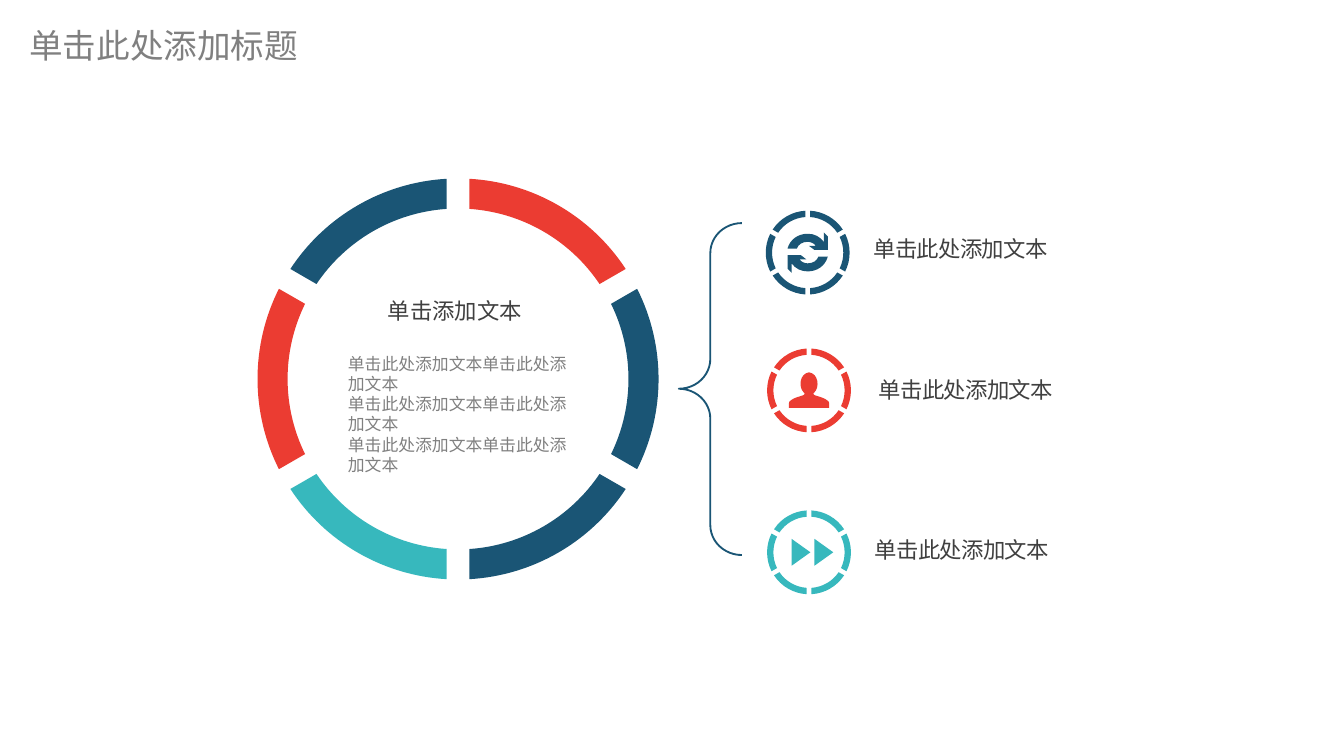
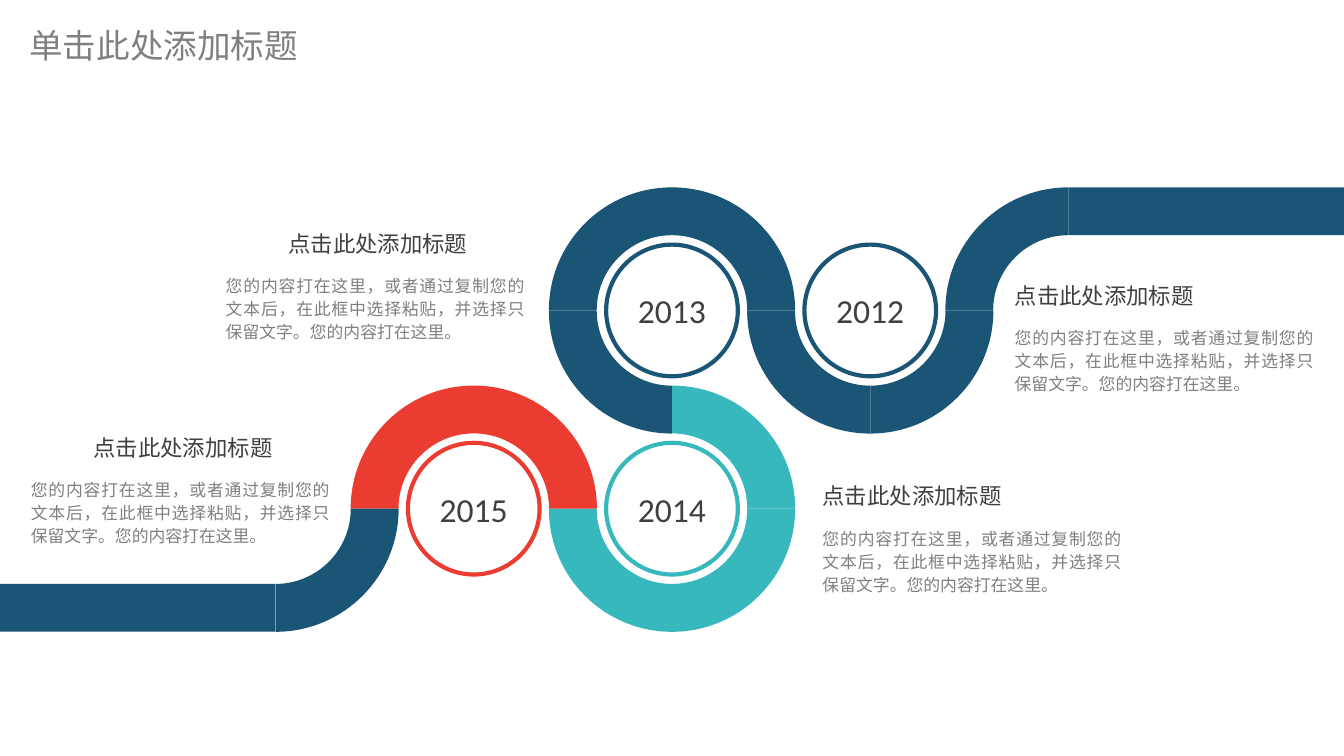
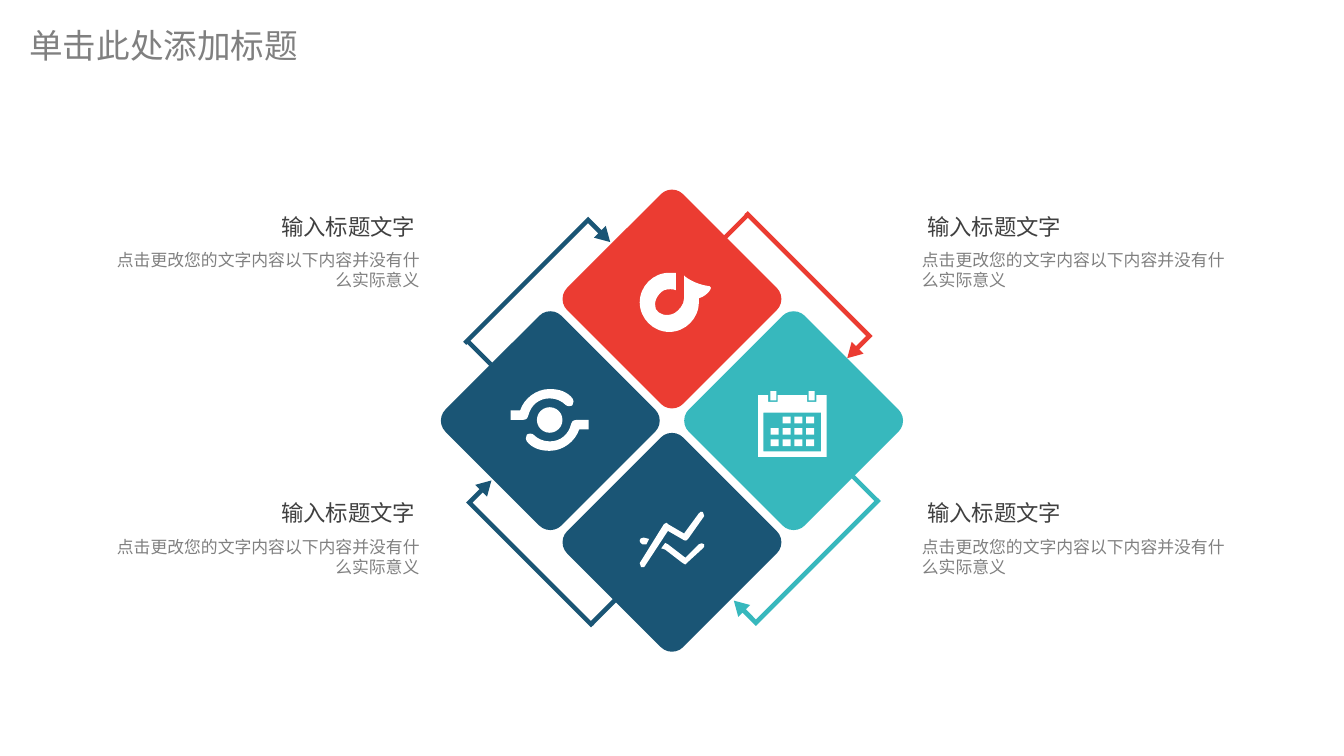
from math import asin, cos, degrees, radians, sin, tan

from pptx import Presentation
from pptx.dml.color import RGBColor
from pptx.enum.shapes import MSO_SHAPE
from pptx.enum.text import MSO_ANCHOR, MSO_AUTO_SIZE, PP_ALIGN
from pptx.oxml.ns import qn
from pptx.util import Inches, Pt
from lxml.etree import SubElement

NAVY = RGBColor(0x1A, 0x55, 0x75)
RED = RGBColor(0xEB, 0x3C, 0x32)
TEAL = RGBColor(0x37, 0xB8, 0xBD)
WHITE = RGBColor(0xFF, 0xFF, 0xFF)
DARK = RGBColor(0x40, 0x40, 0x40)
GRAY = RGBColor(0x80, 0x80, 0x80)
LATIN = "Calibri"
CJK = "Noto Sans CJK SC"

COLUMNS, ROWS = 100, 56.25
WIDTH = Inches(10)
CELL = WIDTH / COLUMNS
ICON_CELL = 0.1
NO_INSET = (0, 0, 0, 0)
SLIM_INSET = (0.7, 0.4, 0.7, 0.4)

PERSON = [[
    (15, 13), (-15, 13), (-15, 10), (-15, 9, -15, 8, -13, 7),
    (-11, 5.5, -7, 4.5, -4, 3.5), (-3, 3.5, -3, 3.5, -3, 2.5),
    (-3, 1.5, -3, 1.5, -4, 1.5), (-8, -2.5, -7, -12.5, 0, -13.5),
    (7, -12.5, 8, -2.5, 4, 1.5), (3, 1.5, 3, 1.5, 3, 2.5),
    (3, 3.5, 3, 3.5, 4, 3.5), (7, 4.5, 11, 5.5, 13, 7),
    (15, 8, 15, 9, 15, 10)]]
FORWARD = [[(x, -10), (x, 10), (x + 14, 0)] for x in (-13, 4)]
REFRESH_HALF = [
    (-15, 2), (-5, 2), (-1, 5), (-3, 5, -4, 5, -6, 5), (-5, 7, -2, 8, 0, 8),
    (4, 8, 7, 6, 8, 3), (15, 3), (13, 10, 7, 14, 0, 14),
    (-5, 14, -9, 12, -12, 8), (-12, 9), (-12, 15), (-15, 12)]
ORBIT_HALF = [
    (20, 0), (17, 0, 16, 2, 16, 3), (14, 11, 8, 16, 0, 16),
    (-5, 16, -9, 14, -12, 11), (-13, 10, -16, 10, -17, 11),
    (-18, 13, -18, 15, -17, 16), (-13, 21, -7, 23, 0, 23),
    (10, 23, 19, 16, 22, 7), (29, 7), (29, 0)]
TREND = [
    [(-3, -7), (9, 0), (10, 1, 11, 0, 12, -1), (24, -18),
     (24, -19, 24, -20, 23, -21), (22, -22, 21, -21, 20, -20), (9, -5),
     (-3, -12), (-3, -13, -4, -13, -4, -13), (-5, -12, -5, -12, -6, -12),
     (-24, 17), (-24, 18, -24, 19, -23, 20), (-23, 20, -22, 20, -22, 20),
     (-21, 20, -20, 20, -20, 19)],
    [(20, 3), (10, 13), (-3, 3), (-5, 2), (-8, 6), (-5, 7), (8, 17),
     (9, 18, 9, 18, 10, 18), (10, 18, 11, 18, 11, 17), (23, 6),
     (24, 6, 24, 4, 24, 3), (23, 2, 21, 2, 20, 3)],
    [(-22, 3), (-19, 3), (-17, -1), (-21, -2), (-23, -2, -24, -1, -24, 0),
     (-24, 1, -24, 2, -22, 3)]]
NOTE = [[
    (20, -3), (27, -5, 31, -12, 28, -12), (20, -13, 14, -16, 10, -19),
    (10, -19, 9, -19, 9, -20), (9, -3), (9, 2, 5, 6, 2, 8),
    (-4, 11, -10, 9, -12, 5), (-14, 0, -11, -6, -6, -9),
    (-3, -10, 1, -10, 3, -9), (3, -22), (1, -22, 0, -22, -2, -22),
    (-14, -22, -24, -12, -24, 0), (-24, 12, -14, 22, -2, 22),
    (10, 22, 20, 12, 20, 0), (20, -1, 20, -2, 20, -3)]]
CALENDAR = [
    [(25.5, -23), (18, -23), (18, -18), (11, -18), (11, -23), (-11, -23),
     (-11, -18), (-18, -18), (-18, -23), (-25.5, -23), (-25.5, 23), (25.5, 23)],
    [(21.5, 19), (-21.5, 19), (-21.5, -10), (21.5, -10)]]


def span(cells):
    """Turn grid cells into a length."""
    return int(cells * CELL)


def paint(shape, fill=None, line=None, weight=1):
    """Set a shape's fill and line and drop its shadow."""
    shape.shadow.inherit = False
    if fill is None:
        shape.fill.background()
    else:
        shape.fill.solid()
        shape.fill.fore_color.rgb = fill
    if line is None:
        shape.line.fill.background()
    else:
        shape.line.color.rgb = line
        shape.line.width = Pt(weight)
    return shape


def add_centered(slide, preset, center, size, fill=None, turn=0, adjust=(), **line):
    """Add a preset shape around its centre."""
    (x, y), (width, height) = center, size
    shape = slide.shapes.add_shape(preset, span(x - width / 2), span(y - height / 2),
                                   span(width), span(height))
    shape.rotation = turn
    for index, value in enumerate(adjust):
        shape.adjustments[index] = value
    return paint(shape, fill, **line)


def bend_lines(shape, steps):
    """Join the three lines of each cubic step into one curve."""
    outline = shape._element.find(".//" + qn("a:path"))
    lines = iter(outline.findall(qn("a:lnTo")))
    for step in steps:
        line = next(lines)
        if len(step) == 6:
            line.tag = qn("a:cubicBezTo")
            for _ in range(2):
                extra = next(lines)
                line.append(extra[0])
                outline.remove(extra)


def add_outline(slide, contours, fill):
    """Add closed contours of points and cubic curves as one freeform."""
    builder = slide.shapes.build_freeform(*map(span, contours[0][0]))
    for index, (start, *steps) in enumerate(contours):
        if index:
            builder.move_to(*map(span, start))
        builder.add_line_segments([(span(x), span(y)) for step in steps
                                   for x, y in zip(step[::2], step[1::2])], close=True)
    shape = paint(builder.convert_to_shape(), fill)
    bend_lines(shape, [step for contour in contours for step in contour[1:]])


def half_turned(contour):
    """Return a contour together with itself turned by 180 degrees."""
    return [contour, [tuple(-value for value in step) for step in contour]]


def add_icon(slide, center, contours, fill):
    """Draw an icon given on the fine grid around its centre."""
    add_outline(slide, [[tuple(center[index % 2] + value * ICON_CELL
                               for index, value in enumerate(step))
                         for step in contour] for contour in contours], fill)


def arc(center, radius, start, end):
    """Return the first point of an arc and its cubic curve."""
    pull = 4 / 3 * tan(radians(end - start) / 4)
    (x, y), first, last = center, radians(start), radians(end)
    corners = [(cos(first), sin(first)),
               (cos(first) - pull * sin(first), sin(first) + pull * cos(first)),
               (cos(last) + pull * sin(last), sin(last) - pull * cos(last)),
               (cos(last), sin(last))]
    points = [(x + radius * across, y + radius * down) for across, down in corners]
    return [points[0], points[1] + points[2] + points[3]]


def add_band(slide, center, outer, inner, start, sweep, fill, gap=0):
    """Draw a ring sector, cut back at both ends by a parallel gap."""
    trims = [degrees(asin(gap / radius)) for radius in (outer, inner)]
    end = start + sweep
    add_outline(slide, [arc(center, outer, start + trims[0], end - trims[0])
                        + arc(center, inner, end - trims[1], start + trims[1])], fill)


def add_ring(slide, center, radius, colors):
    """Draw a ring of six sectors, clockwise from the lower right."""
    for index, color in enumerate(colors):
        add_band(slide, center, radius, radius * 0.85, 30 + 60 * index, 60, color,
                 gap=radius * 0.057)


def write(paragraph, text, size, color, font, tracking=None):
    """Add one run of text to a paragraph."""
    run = paragraph.add_run()
    run.text = text
    run.font.size = Pt(size)
    run.font.color.rgb = color
    run.font.name = font
    properties = run.font._element
    SubElement(properties, qn("a:ea")).set("typeface", CJK)
    if tracking is not None:
        properties.set("spc", str(int(tracking * 100)))


def add_text(slide, box, lines, size, color, font=CJK, align=None, spacing=None,
             after=None, inset=None, anchor=MSO_ANCHOR.TOP, wrap=True, grow=True,
             tracking=None):
    """Add a text box with one run in each paragraph."""
    frame = slide.shapes.add_textbox(*map(span, box)).text_frame
    frame.word_wrap = wrap
    frame.vertical_anchor = anchor
    frame.auto_size = MSO_AUTO_SIZE.SHAPE_TO_FIT_TEXT if grow else MSO_AUTO_SIZE.NONE
    if inset:
        (frame.margin_left, frame.margin_top,
         frame.margin_right, frame.margin_bottom) = map(span, inset)
    for index, line in enumerate(lines):
        paragraph = frame.add_paragraph() if index else frame.paragraphs[0]
        paragraph.alignment = align
        paragraph.line_spacing = spacing
        if after is not None:
            paragraph.space_after = Pt(after)
        write(paragraph, line, size, color, font, tracking)


def add_titled_slide(deck):
    """Add a blank slide with the shared title."""
    slide = deck.slides.add_slide(deck.slide_layouts[6])
    add_text(slide, (1.2, 1.4, 22.2, 4), ["单击此处添加标题"], 18, GRAY, LATIN, wrap=False)
    return slide


def add_badge(slide, center, icon, color, label_box):
    """Add a ringed icon with the label beside it."""
    add_ring(slide, center, 3.12, [color] * 6)
    add_icon(slide, center, icon, color)
    add_text(slide, label_box, ["单击此处添加文本"], 12, DARK, spacing=0.9, after=4.6,
             inset=NO_INSET, anchor=MSO_ANCHOR.MIDDLE, tracking=-0.4)


def build_ring_slide(deck):
    """Build the ring with its brace and three badges."""
    slide = add_titled_slide(deck)
    add_ring(slide, (34.08, 28.2), 14.92, [NAVY, TEAL, RED, NAVY, RED, NAVY])
    add_text(slide, (25.1, 21.9, 17.5, 2.7), ["单击添加文本"], 12, DARK,
             align=PP_ALIGN.CENTER, spacing=0.85)
    add_text(slide, (24.9, 25.8, 18.5, 10.1), ["单击此处添加文本单击此处添加文本"] * 3, 9, GRAY)
    add_centered(slide, MSO_SHAPE.RIGHT_BRACE, (52.85, 28.95), (4.7, 24.7), turn=180,
                 adjust=(0.473, 0.501), line=NAVY)
    add_badge(slide, (60.1, 18.8), half_turned(REFRESH_HALF), NAVY, (65, 17.7, 17.3, 1.8))
    add_badge(slide, (60.2, 29.05), PERSON, RED, (65.4, 28.2, 16.9, 1.8))
    add_badge(slide, (60.2, 41.1), FORWARD, TEAL, (65.1, 40.1, 15.7, 1.8))


def road_node(column, row):
    """Return the centre of a bend on the road's lattice."""
    pitch = 14.75
    return 50 + (column - 2) * pitch, 23.1 + row * pitch


def add_year(slide, center, year, color):
    """Add a year inside an outlined circle."""
    circle = add_centered(slide, MSO_SHAPE.OVAL, center, (9.8, 9.8), WHITE,
                          line=color, weight=2.25)
    frame = circle.text_frame
    frame.margin_left = frame.margin_right = span(0.7)
    frame.margin_top = frame.margin_bottom = span(0.4)
    frame.vertical_anchor = MSO_ANCHOR.MIDDLE
    frame.paragraphs[0].alignment = PP_ALIGN.CENTER
    write(frame.paragraphs[0], year, 18, DARK, LATIN)


def build_road_slide(deck):
    """Build the winding road of years."""
    slide = add_titled_slide(deck)
    outer, inner = 9.16, 5.6
    bends = [(4, 0, (180,), NAVY), (3, 0, (0, 90), NAVY), (2, 0, (270, 180, 90), NAVY),
             (2, 1, (270, 0, 90), TEAL), (1, 1, (270, 180), RED), (0, 1, (0,), NAVY)]
    for column, row, starts, color in bends:
        for start in starts:
            add_band(slide, road_node(column, row), outer, inner, start, 90, color)
    years = [(3, 0, "2012", NAVY), (2, 0, "2013", NAVY), (2, 1, "2014", TEAL),
             (1, 1, "2015", RED)]
    for column, row, year, color in years:
        add_year(slide, road_node(column, row), year, color)
    lane = outer - inner
    middle = (outer + inner) / 2
    length = 20.5
    for x, y in ((COLUMNS - length / 2, road_node(4, 0)[1] - middle),
                 (length / 2, road_node(0, 1)[1] + middle)):
        add_centered(slide, MSO_SHAPE.RECTANGLE, (x, y), (length, lane), NAVY)
    for x, y, indent in ((74.8, 19.6, 0), (16.1, 15.7, 4.65), (60.5, 34.5, 0),
                         (1.6, 30.9, 4.65)):
        add_text(slide, (x + indent, y, 18.9, 3.8), ["点击此处添加标题"], 12, DARK, LATIN,
                 spacing=1.5, inset=SLIM_INSET)
        add_text(slide, (x, y + 4.2, 23.6, 5.9),
                 ["您的内容打在这里，或者通过复制您的文本后，在此框中选择粘贴，"
                  "并选择只保留文字。您的内容打在这里。"], 9, GRAY, LATIN,
                 align=PP_ALIGN.JUSTIFY, spacing=1.14, inset=SLIM_INSET)


def add_calendar(slide, center):
    """Add a calendar with its rings and days."""
    x0, y0 = center
    add_icon(slide, center, CALENDAR, WHITE)
    for offset in (-1.4, 1.45):
        add_centered(slide, MSO_SHAPE.RECTANGLE, (x0 + offset, y0 - 2.25), (0.45, 0.7), WHITE)
    for day in range(1, 12):
        row, column = divmod(day, 4)
        add_centered(slide, MSO_SHAPE.RECTANGLE,
                     (x0 - 1.3 + 0.88 * column, y0 - 0.45 + 0.85 * row), (0.6, 0.5), WHITE)


def build_cycle_slide(deck):
    """Build the four tiles joined by arrows."""
    slide = add_titled_slide(deck)
    arrows = [((40.15, 21.5), (35.65, 26.25), 45, NAVY),
              ((40.05, 41), (44.85, 45.55), 315, NAVY),
              ((59.55, 21.4), (54.75, 16.85), 135, RED),
              ((59.85, 41.2), (64.35, 36.35), 225, TEAL)]
    for center, tail, turn, color in arrows:
        add_centered(slide, MSO_SHAPE.BENT_ARROW, center, (2.5, 13.6), color, turn,
                     (0.137, 0.25, 0.436, 0))
        add_centered(slide, MSO_SHAPE.RECTANGLE, tail, (2.5, 0.34), color, turn % 180)
    middle, reach = (50, 31.3), 9.05
    for across, down, color in ((1, 0, TEAL), (0, 1, NAVY), (-1, 0, NAVY), (0, -1, RED)):
        add_centered(slide, MSO_SHAPE.ROUNDED_RECTANGLE,
                     (middle[0] + across * reach, middle[1] + down * reach),
                     (12.2, 12.2), color, 315, (0.096,))
    orbit = (40.9, 31.25)
    add_calendar(slide, (58.95, 31.7))
    add_icon(slide, (50, 40.2), TREND, WHITE)
    add_icon(slide, orbit, half_turned(ORBIT_HALF), WHITE)
    add_centered(slide, MSO_SHAPE.OVAL, orbit, (1.9, 1.9), WHITE)
    add_icon(slide, (50, 22.5), NOTE, WHITE)
    for heading_x, body_x, align in ((68, 68.6, PP_ALIGN.LEFT), (15.4, 7.6, PP_ALIGN.RIGHT)):
        for y in (15.8, 37.1):
            add_text(slide, (heading_x, y, 16.5, 2.1), ["输入标题文字"], 12, DARK,
                     align=align, anchor=MSO_ANCHOR.MIDDLE, grow=False)
            add_text(slide, (body_x, y + 2.8, 23.6, 3),
                     ["点击更改您的文字内容以下内容并没有什么实际意义"], 9, GRAY,
                     align=align, inset=NO_INSET)


def main():
    """Build and save the deck."""
    deck = Presentation()
    deck.slide_width, deck.slide_height = WIDTH, span(ROWS)
    build_ring_slide(deck)
    build_road_slide(deck)
    build_cycle_slide(deck)
    deck.save("out.pptx")


if __name__ == "__main__":
    main()
